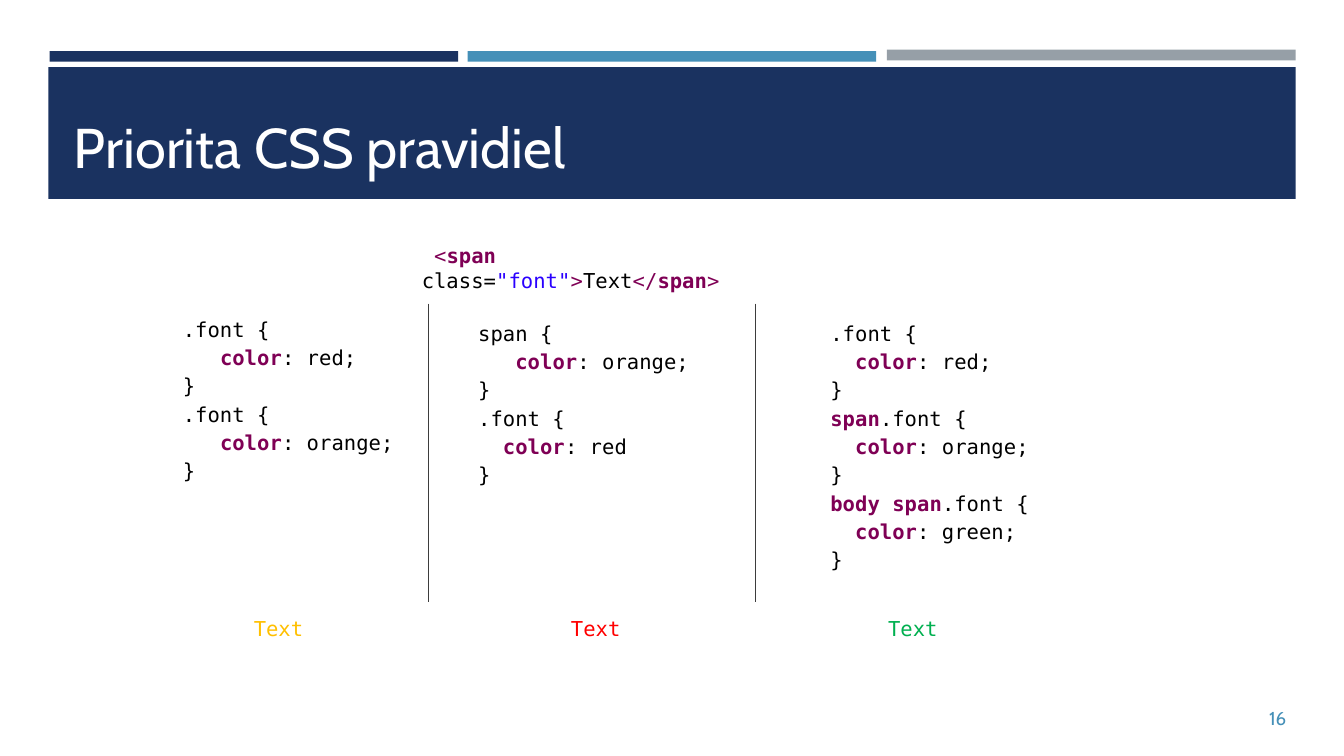
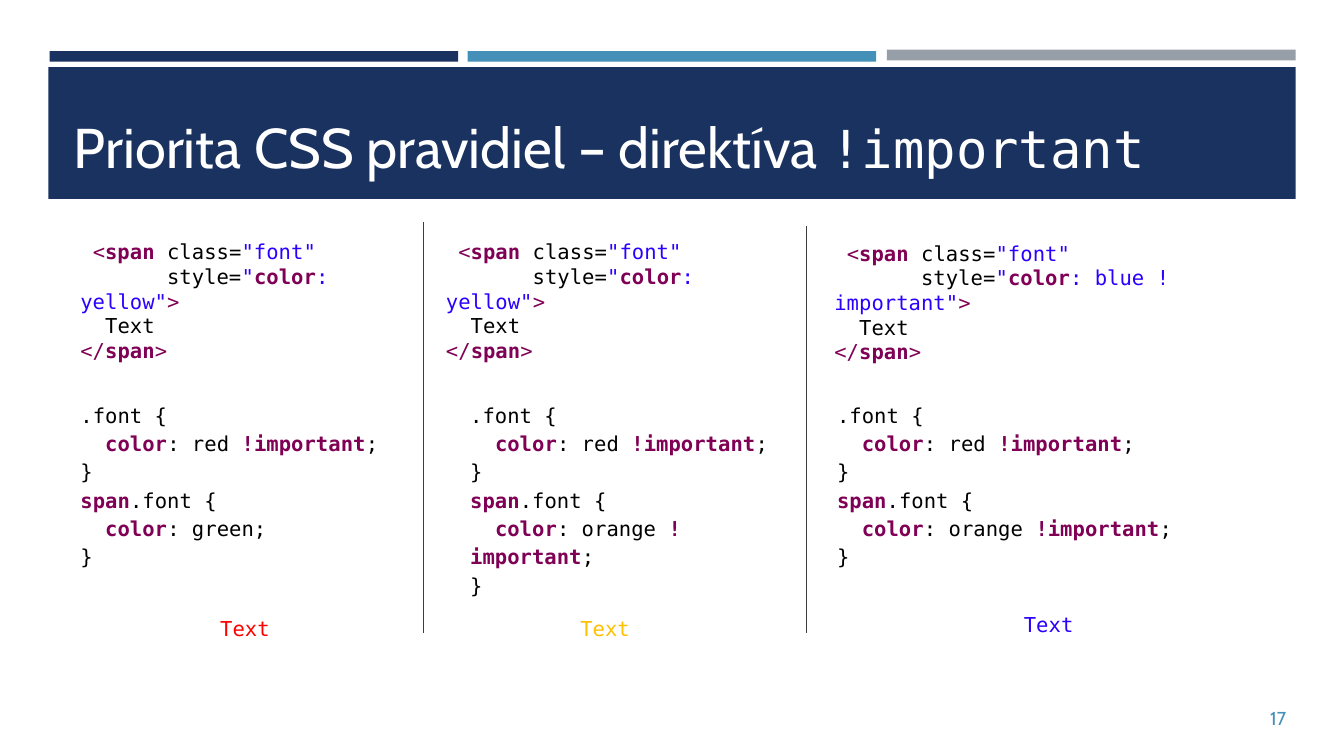
from copy import deepcopy
from lxml.etree import SubElement
from pptx import Presentation
from pptx.dml.color import RGBColor
from pptx.enum.shapes import MSO_CONNECTOR, MSO_SHAPE
from pptx.enum.text import MSO_ANCHOR, MSO_AUTO_SIZE, PP_ALIGN
from pptx.oxml.ns import qn
from pptx.util import Inches, Pt

NAVY = RGBColor(0x1A, 0x32, 0x60)
SKY = RGBColor(0x45, 0x90, 0xB8)
GREY = RGBColor(0x96, 0x9F, 0xA7)
CHARCOAL = RGBColor(0x3D, 0x3D, 0x3D)
WHITE = RGBColor(0xFF, 0xFF, 0xFF)
BLACK = RGBColor(0x00, 0x00, 0x00)
PURPLE = RGBColor(0x7F, 0x00, 0x55)
BLUE = RGBColor(0x2A, 0x00, 0xFF)
RED = RGBColor(0xFF, 0x00, 0x00)
AMBER = RGBColor(0xFF, 0xC0, 0x00)
GREEN = RGBColor(0x00, 0xB0, 0x50)

SANS = "Cabin"
MONO = "DejaVu Sans Mono"

KEYWORD = {"color": PURPLE, "bold": True}
MARK = {"color": PURPLE}
STRING = {"color": BLUE}

IMPORTANT = ("!important", KEYWORD)
SPAN = ("span", KEYWORD)
CLOSING_TAG = [("</", MARK), SPAN, (">", MARK)]


def write(shape, lines, font=MONO, size=11, color=BLACK, spacing=1.0,
          inset=(0.1, 0.1), align=PP_ALIGN.LEFT, anchor=MSO_ANCHOR.TOP):
    frame = shape.text_frame
    frame.word_wrap = True
    frame.auto_size = MSO_AUTO_SIZE.NONE
    frame.vertical_anchor = anchor
    frame.margin_left = frame.margin_right = Inches(inset[0])
    frame.margin_top = frame.margin_bottom = Inches(inset[1])
    for number, line in enumerate(lines):
        para = frame.add_paragraph() if number else frame.paragraphs[0]
        para.alignment = align
        para.line_spacing = spacing
        para.space_before = para.space_after = Pt(0)
        properties = para._p.get_or_add_pPr()
        properties.set("marL", "0")
        properties.set("indent", "0")
        SubElement(properties, qn("a:buNone"))
        for piece in line:
            if piece == "\n":
                para.add_line_break()
                para._p[-1].append(deepcopy(span._r.rPr))
                continue
            text, style = (piece, {}) if isinstance(piece, str) else piece
            span = para.add_run()
            span.text = text
            span.font.name = style.get("font", font)
            span.font.size = Pt(style.get("size", size))
            span.font.bold = style.get("bold", False)
            span.font.color.rgb = style.get("color", color)


def rule(selector, *value, indent=2):
    return [selector, [" " * indent, ("color", KEYWORD), ": ", *value], ["}"]]


deck = Presentation()
deck.slide_width = Inches(10)
deck.slide_height = deck.slide_width * 9 // 16

FONT = [".font {"]
SPAN_FONT = [SPAN, ".font {"]
RED_IMPORTANT = rule(FONT, "red ", IMPORTANT, ";")
ORANGE_IMPORTANT = rule(SPAN_FONT, "orange ", IMPORTANT, ";")

slides = [
    {
        "number": "16",
        "layout": 1,
        "title": ["Priorita CSS pravidiel"],
        "dividers": [(3.19, 2.26, 4.48), (5.62, 2.26, 4.48)],
        "tags": [],
        "rules": [
            (1.29, 2.26, 2.14, 2.1, rule(FONT, "red;", indent=3)
             + rule(FONT, "orange;", indent=3)),
            (3.46, 2.26, 1.96, 2.08, rule(["span {"], "orange;", indent=3)
             + rule(FONT, "red ")),
            (6.08, 2.26, 1.92, 2.08, rule(FONT, "red;")
             + rule(SPAN_FONT, "orange;")
             + rule([("body", KEYWORD), " ", SPAN, ".font {"], "green;")),
        ],
        "results": [(1.79, 4.48, AMBER), (4.15, 4.48, RED), (6.51, 4.48, GREEN)],
    },
    {
        "number": "17",
        "layout": 5,
        "title": ["Priorita CSS pravidiel – direktíva ",
                  ("!important", {"font": MONO, "size": 28, "color": WHITE})],
        "dividers": [(3.15, 1.65, 4.71), (6, 1.68, 4.71)],
        "tags": [(0.5, 1.68, 2.64, "yellow"), (3.22, 1.68, 2.64, "yellow"),
                 (6.11, 1.69, 3.58, "blue !important")],
        "rules": [
            (0.5, 2.87, 2.45, 1.48, RED_IMPORTANT + rule(SPAN_FONT, "green;")),
            (3.4, 2.87, 2.49, 1.44, RED_IMPORTANT + ORANGE_IMPORTANT),
            (6.13, 2.87, 3.24, 1.43, RED_IMPORTANT + ORANGE_IMPORTANT),
        ],
        "results": [(1.54, 4.48, RED), (4.22, 4.48, AMBER), (7.52, 4.45, BLUE)],
    },
]

pages = [deck.slides.add_slide(deck.slide_layouts[slide["layout"]]) for slide in slides]

bands = [(0.37, 0.38, 3.04, 0.08, NAVY), (3.48, 0.38, 3.04, 0.08, SKY),
         (6.6, 0.37, 3.04, 0.08, GREY), (0.36, 0.5, 9.28, 0.98, NAVY)]
for position, (left, top, width, height, color) in enumerate(bands):
    band = pages[0].shapes.add_shape(MSO_SHAPE.RECTANGLE, Inches(left), Inches(top),
                                     Inches(width), Inches(height))
    band.shadow.inherit = False
    band.fill.solid()
    band.fill.fore_color.rgb = color
    band.line.fill.background()
    band.element.nvSpPr.cNvPr.set("id", str(20 + position))
    deck.slide_master.shapes.element.insert(2 + position, band.element)

for page, slide in zip(pages, slides):
    title = page.shapes.title
    title.left, title.top = Inches(0.48), Inches(0.58)
    title.width, title.height = Inches(9.05), Inches(0.83)
    write(title, [slide["title"]], font=SANS, size=30, color=WHITE,
          inset=(0.07, 0.07), anchor=MSO_ANCHOR.BOTTOM)

    for left, top, bottom in slide["dividers"]:
        divider = page.shapes.add_connector(MSO_CONNECTOR.STRAIGHT, Inches(left),
                                            Inches(top), Inches(left), Inches(bottom))
        divider.line.color.rgb = CHARCOAL
        divider.line.width = Pt(0.75)
        SubElement(divider.element.spPr, qn("a:effectLst"))

    for left, top, width, value in slide["tags"]:
        box = page.shapes.add_textbox(Inches(left), Inches(top), Inches(width), Inches(0.95))
        opening_tag = [" ", ("<", MARK), SPAN, " class=", ('"font"', STRING), "\n",
                       "       style=", ('"', STRING), ("color", KEYWORD),
                       (f': {value}"', STRING), (">", MARK)]
        write(box, [opening_tag, ["  Text"], CLOSING_TAG])

    for column, (left, top, width, height, lines) in enumerate(slide["rules"]):
        if column == 0 and slide["layout"] == 1:
            box = page.placeholders[1]
            box.left, box.top = Inches(left), Inches(top)
            box.width, box.height = Inches(width), Inches(height)
            inset = (0.07, 0.07)
        else:
            box = page.shapes.add_textbox(Inches(left), Inches(top),
                                          Inches(width), Inches(height))
            inset = (0.1, 0.1)
        write(box, lines, spacing=1.15, inset=inset)

    for left, top, color in slide["results"]:
        box = page.shapes.add_textbox(Inches(left), Inches(top), Inches(0.57), Inches(0.31))
        write(box, [["Text"]], color=color)

    number = page.shapes.add_textbox(Inches(9.3), Inches(5.19), Inches(0.34), Inches(0.3))
    write(number, [[slide["number"]]], font=SANS, size=10, color=SKY,
          inset=(0.07, 0.04), align=PP_ALIGN.RIGHT, anchor=MSO_ANCHOR.MIDDLE)

box = pages[0].shapes.add_textbox(Inches(3.04), Inches(1.71), Inches(2.8), Inches(0.31))
write(box, [[" ", ("<", MARK), SPAN, " class=", ('"font"', STRING), (">", MARK),
             "Text", *CLOSING_TAG]])

deck.save("out.pptx")
